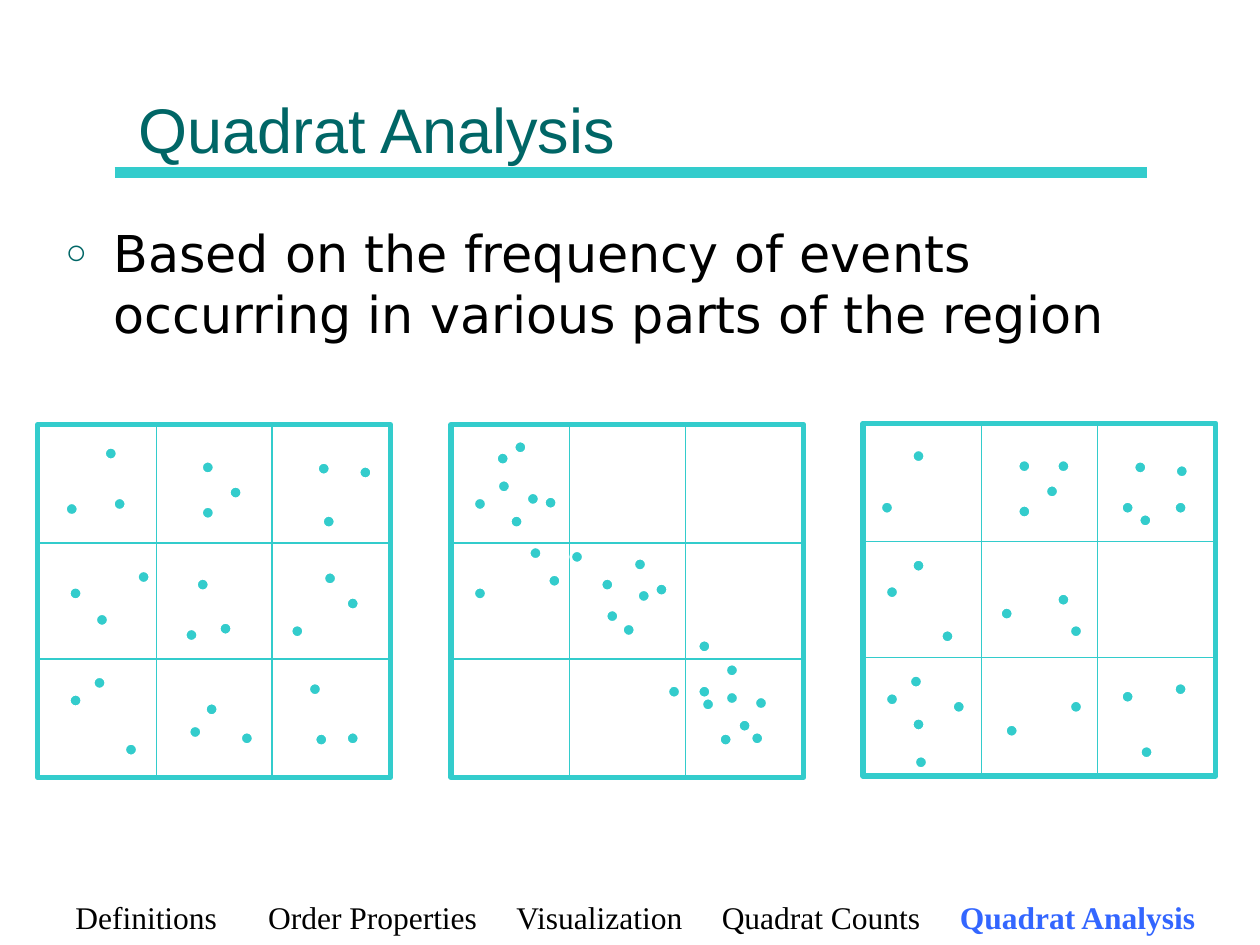
from dataclasses import dataclass

from lxml import etree
from pptx import Presentation
from pptx.dml.color import RGBColor
from pptx.enum.shapes import MSO_CONNECTOR, MSO_SHAPE
from pptx.enum.text import MSO_ANCHOR, MSO_AUTO_SIZE, PP_ALIGN
from pptx.oxml.ns import qn
from pptx.util import Inches, Pt

LINE = MSO_CONNECTOR.STRAIGHT
RECT, OVAL = MSO_SHAPE.RECTANGLE, MSO_SHAPE.OVAL
BOTTOM, TOP = MSO_ANCHOR.BOTTOM, MSO_ANCHOR.TOP
FIXED = MSO_AUTO_SIZE.NONE
LEFT = PP_ALIGN.LEFT

COLORS = {"aqua": "33CCCC", "teal": "006666", "black": "000000",
          "white": "FFFFFF", "blue": "3366FF"}
SIDE, DOT = 2.8, 0.1


@dataclass
class Panel:
    left: float
    top: float
    dots: list[tuple[float, float]]  # top left corners on the slide


@dataclass
class Cut:
    pos: float    # distance from the panel edge
    down: float   # shift of the vertical line
    right: float  # shift of the horizontal line


CUTS = [Cut(0.94, 0, 0.01), Cut(1.86, 0.02, 0)]

PANELS = [
    # Even spread
    Panel(0.3, 3.37, [
        (0.83, 3.55), (0.9, 3.95), (0.52, 3.99),
        (1.6, 3.66), (1.82, 3.86), (1.6, 4.02),
        (2.52, 3.67), (2.85, 3.7), (2.56, 4.09),
        (0.55, 4.66), (1.09, 4.53), (0.76, 4.87),
        (1.56, 4.59), (1.74, 4.94), (1.47, 4.99),
        (2.57, 4.54), (2.75, 4.74), (2.31, 4.96),
        (0.74, 5.37), (0.55, 5.51), (0.99, 5.9),
        (1.63, 5.58), (1.5, 5.76), (1.91, 5.81),
        (2.45, 5.42), (2.5, 5.82), (2.75, 5.81)]),
    # Clusters
    Panel(3.58, 3.37, [
        (4.08, 3.5), (3.94, 3.59), (3.95, 3.81), (3.76, 3.95),
        (4.18, 3.91), (4.32, 3.94), (4.05, 4.09),
        (4.2, 4.34), (4.35, 4.56), (3.76, 4.66),
        (4.53, 4.37), (5.03, 4.43), (4.77, 4.59), (5.06, 4.68),
        (5.2, 4.63), (4.81, 4.84), (4.94, 4.95),
        (5.54, 5.08), (5.3, 5.44), (5.76, 5.27), (5.54, 5.44),
        (5.57, 5.54), (5.76, 5.49), (5.99, 5.53),
        (5.86, 5.71), (5.71, 5.82), (5.96, 5.81)]),
    # Random spread
    Panel(6.85, 3.36, [
        (7.24, 3.57), (6.99, 3.98),
        (8.08, 3.65), (8.39, 3.65), (8.3, 3.85), (8.08, 4.01),
        (9, 3.66), (9.33, 3.69), (8.9, 3.98), (9.04, 4.08), (9.32, 3.98),
        (7.24, 4.44), (7.03, 4.65), (7.47, 5),
        (8.39, 4.71), (7.94, 4.82), (8.49, 4.96),
        (7.22, 5.36), (7.03, 5.5), (7.56, 5.56), (7.24, 5.7), (7.26, 6),
        (8.49, 5.56), (7.98, 5.75),
        (9.32, 5.42), (8.9, 5.48), (9.05, 5.92)]),
]


def color(name: str) -> RGBColor:
    return RGBColor.from_string(COLORS[name])


def place(shape, left: float, top: float, width: float, height: float) -> None:
    shape.left, shape.top = Inches(left), Inches(top)
    shape.width, shape.height = Inches(width), Inches(height)


def add_run(para, text: str, font: str, size: float, tone: str,
            bold: bool = False) -> None:
    run = para.add_run()
    run.text = text
    run.font.name, run.font.size, run.font.bold = font, Pt(size), bold
    run.font.color.rgb = color(tone)


def add_line(slide, x: float, y: float, end_x: float, end_y: float,
             width: float):
    line = slide.shapes.add_connector(
        LINE, Inches(x), Inches(y), Inches(end_x), Inches(end_y))
    line.line.color.rgb = color("aqua")
    line.line.width = Pt(width)
    etree.SubElement(line.element.spPr, qn("a:effectLst"))
    return line


def add_form(slide, kind, x: float, y: float, size: float, edge: str,
             width: float):
    form = slide.shapes.add_shape(
        kind, Inches(x), Inches(y), Inches(size), Inches(size))
    form.shadow.inherit = False
    form.fill.background()
    form.line.color.rgb = color(edge)
    form.line.width = Pt(width)
    return form


def add_panel(slide, panel: Panel) -> None:
    x, y = panel.left, panel.top
    add_form(slide, RECT, x, y, SIDE, "aqua", 3)
    for cut in CUTS:
        start, head = x + cut.right, y + cut.down
        add_line(slide, x + cut.pos, head, x + cut.pos, head + SIDE, 0.75)
        add_line(slide, start, y + cut.pos, start + SIDE, y + cut.pos, 0.75)
    for left, top in panel.dots:
        dot = add_form(slide, OVAL, left, top, DOT, "white", 1.5)
        dot.fill.solid()
        dot.fill.fore_color.rgb = color("aqua")


def add_bullet(para) -> None:
    props = para._p.get_or_add_pPr()
    props.set("marL", str(Inches(0.38)))
    props.set("indent", str(-Inches(0.38)))
    tone = etree.SubElement(props, qn("a:buClr"))
    etree.SubElement(tone, qn("a:srgbClr"), val=COLORS["teal"])
    etree.SubElement(props, qn("a:buSzPct"), val="70000")
    etree.SubElement(props, qn("a:buChar"), char="○")


def add_tabs(para, stops: list[float]) -> None:
    tabs = etree.SubElement(para._p.get_or_add_pPr(), qn("a:tabLst"))
    for stop in stops:
        etree.SubElement(tabs, qn("a:tab"), pos=str(Inches(stop)), algn="l")


def main() -> None:
    deck = Presentation()
    deck.slide_width, deck.slide_height = Inches(10), Inches(7.5)
    slide = deck.slides.add_slide(deck.slide_layouts[1])

    # Title, with its rule behind it
    title = slide.shapes.title
    place(title, 1, 0.12, 8, 1.25)
    frame = title.text_frame
    frame.vertical_anchor, frame.auto_size = BOTTOM, FIXED
    para = frame.paragraphs[0]
    para.alignment = LEFT
    add_run(para, "Quadrat Analysis", "Arial", 36, "teal")
    rule = add_line(slide, 0.91, 1.37, 9.1, 1.37, 6)
    title.element.addprevious(rule.element)

    # Body
    body = slide.placeholders[1]
    place(body, 0.42, 1.71, 9.13, 4.5)
    frame = body.text_frame
    frame.vertical_anchor, frame.auto_size = TOP, FIXED
    para = frame.paragraphs[0]
    para.space_before = Pt(0)
    add_bullet(para)
    add_run(para, "Based on the frequency of events occurring in various "
            "parts of the region", "DejaVu Sans", 29, "black")

    # Point patterns
    for panel in PANELS:
        add_panel(slide, panel)

    # Section trail, spaced by tab stops
    trail = slide.shapes.add_textbox(
        Inches(0.4), Inches(7.08), Inches(9.19), Inches(0.7))
    trail.text_frame.word_wrap = True
    para = trail.text_frame.paragraphs[0]
    para._p.get_or_add_pPr().set("marL", str(Inches(0.1)))
    add_tabs(para, [1.53, 3.5, 5.13, 7.02])
    for name in ("Definitions", "Order Properties", "Visualization",
                 "Quadrat Counts"):
        add_run(para, name + "\t", "Times New Roman", 18, "black")
    add_run(para, "Quadrat Analysis", "Times New Roman", 18, "blue", True)

    deck.save("out.pptx")


if __name__ == "__main__":
    main()
